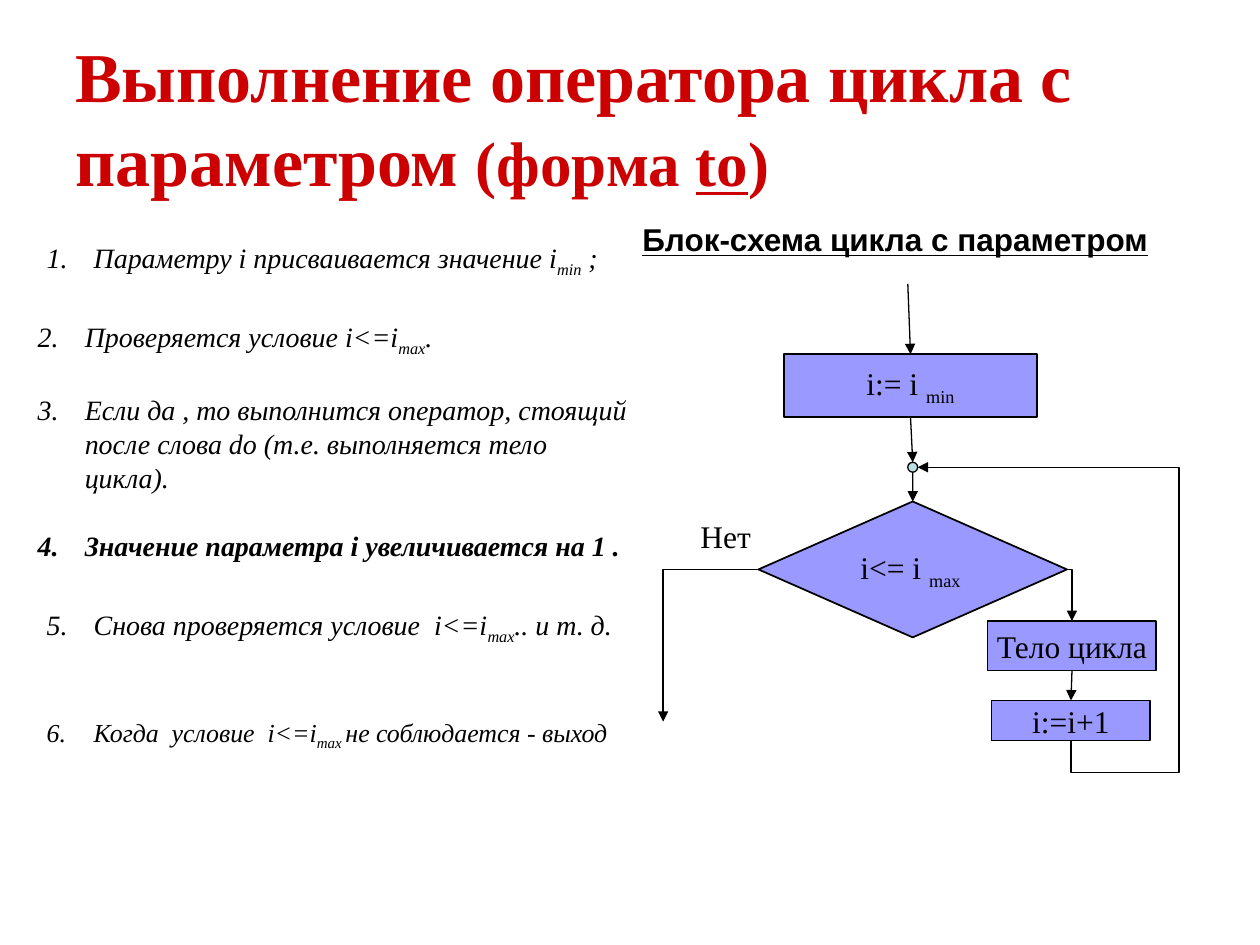
from lxml import etree
from pptx import Presentation
from pptx.dml.color import RGBColor
from pptx.enum.shapes import MSO_CONNECTOR, MSO_SHAPE
from pptx.enum.text import MSO_ANCHOR, PP_ALIGN
from pptx.oxml.ns import qn
from pptx.util import Cm, Pt

RED = RGBColor(0xCC, 0x00, 0x00)
BLACK = RGBColor(0x00, 0x00, 0x00)
VIOLET = RGBColor(0x99, 0x99, 0xFF)
PALE_BLUE = RGBColor(0xBB, 0xE0, 0xE3)
SERIF, SANS = "Times New Roman", "Arial"
STRAIGHT, ELBOW = MSO_CONNECTOR.STRAIGHT, MSO_CONNECTOR.ELBOW
PROCESS = MSO_SHAPE.FLOWCHART_PROCESS
DECISION = MSO_SHAPE.FLOWCHART_DECISION
JUNCTION = MSO_SHAPE.FLOWCHART_CONNECTOR
MIDDLE, CENTER = MSO_ANCHOR.MIDDLE, PP_ALIGN.CENTER
TOP, BOTTOM = 0, 2
SUB = {"baseline": -25000}


def add_text(paragraph, text, size=18, font=SERIF, color=BLACK, bold=False,
             italic=False, underline=False, baseline=0):
    run = paragraph.add_run()
    run.text = text
    run.font.size = Pt(size)
    run.font.name = font
    run.font.color.rgb = color
    run.font.bold, run.font.italic, run.font.underline = bold, italic, underline
    if baseline:
        run.font._element.set("baseline", str(baseline))


def add_runs(paragraph, runs, **style):
    """Write (text, changes) pairs that share a base style."""
    for text, changes in runs:
        add_text(paragraph, text, **{**style, **changes})


class FlowSlide:
    def __init__(self, slide):
        self.slide = slide

    def text_box(self, left, top, width, height, wrap=True, anchor=None):
        box = self.slide.shapes.add_textbox(Cm(left), Cm(top), Cm(width), Cm(height))
        frame = box.text_frame
        frame.word_wrap = wrap
        if anchor is not None:
            frame.vertical_anchor = anchor
        return frame

    def numbered_list(self, left, top, width, height, start, items, size=16,
                      line_spacing=None):
        frame = self.text_box(left, top, width, height)
        for index, runs in enumerate(items):
            paragraph = frame.add_paragraph() if index else frame.paragraphs[0]
            paragraph.space_before = Pt(20)
            if line_spacing:
                paragraph.line_spacing = line_spacing
            properties = paragraph._p.get_or_add_pPr()
            properties.set("marL", str(Cm(0.95)))
            properties.set("indent", str(-Cm(0.95)))
            etree.SubElement(properties, qn("a:buAutoNum"),
                             type="arabicPeriod", startAt=str(start))
            add_runs(paragraph, runs, size=size, italic=True)

    def block(self, kind, left, top, width, height, runs=(), fill=VIOLET, line_width=1):
        shape = self.slide.shapes.add_shape(kind, Cm(left), Cm(top), Cm(width), Cm(height))
        shape.shadow.inherit = False
        shape.fill.solid()
        shape.fill.fore_color.rgb = fill
        shape.line.color.rgb = BLACK
        shape.line.width = Pt(line_width)
        frame = shape.text_frame
        frame.word_wrap = False
        frame.vertical_anchor = MIDDLE
        frame.paragraphs[0].alignment = CENTER
        add_runs(frame.paragraphs[0], runs)
        return shape

    def connector(self, kind, begin, end, line_width, arrow):
        """Draw between two (x, y) points; arrow is headEnd or tailEnd."""
        connector = self.slide.shapes.add_connector(kind, *map(Cm, (*begin, *end)))
        connector.line.color.rgb = BLACK
        connector.line.width = Pt(line_width)
        etree.SubElement(connector.line._get_or_add_ln(), qn(f"a:{arrow}"), type="triangle")
        etree.SubElement(connector._element.spPr, qn("a:effectLst"))
        return connector

    def arrow(self, begin, end, source=None, target=None):
        connector = self.connector(STRAIGHT, begin, end, 0.75, "tailEnd")
        if source is not None:
            connector.begin_connect(source, BOTTOM)
        if target is not None:
            connector.end_connect(target, TOP)

    def bent(self, begin, end, line_width=1, turn=None, arrow="tailEnd"):
        """One corner, or three corners passing the outer (x, y) turn."""
        connector = self.connector(ELBOW, begin, end, line_width, arrow)
        geometry = connector._element.spPr.find(qn("a:prstGeom"))
        geometry.set("prst", "bentConnector4" if turn else "bentConnector2")
        if turn:
            guides = geometry.find(qn("a:avLst"))
            for axis in range(2):
                ratio = (turn[axis] - begin[axis]) / (end[axis] - begin[axis])
                etree.SubElement(guides, qn("a:gd"), name=f"adj{axis + 1}",
                                 fmla=f"val {round(ratio * 100000)}")


def main():
    presentation = Presentation()
    presentation.slide_width, presentation.slide_height = Cm(25.4), Cm(19.05)
    page = FlowSlide(presentation.slides.add_slide(presentation.slide_layouts[6]))

    title = page.text_box(1.27, 0.76, 22.86, 3.18, anchor=MIDDLE)
    add_runs(title.paragraphs[0], [
        ("Выполнение оператора цикла с параметром ", {"size": 40}),
        ("(форма ", {}), ("to", {"underline": True}), (")", {}),
    ], size=36, color=RED, bold=True)

    page.numbered_list(0.69, 4.72, 12.04, 1.19, 1, [
        [("Параметру i присваивается значение i", {}), ("min", SUB), (" ;", {})]])
    page.numbered_list(0.51, 6.32, 12.4, 5.99, 2, [
        [("Проверяется условие i<=i", {}), ("max", SUB), (".", {})],
        [("Если да , то выполнится оператор, стоящий после слова do "
          "(т.е. выполняется тело цикла).", {})],
        [("Значение параметра i увеличивается на 1 .", {"bold": True})]])
    page.numbered_list(0.69, 12.12, 12.4, 1.19, 5, [
        [("Снова проверяется условие  i<=i", {}), ("max", SUB), (".. и т. д.", {})]])
    page.numbered_list(0.69, 14.33, 12.4, 1.19, 6, [
        [("Когда  условие  i<=i", {}), ("max ", SUB), ("не соблюдается - выход", {})]],
        size=14.8, line_spacing=0.9)

    heading = page.text_box(12.7, 4.32, 10.74, 1.02, wrap=False)
    add_text(heading.paragraphs[0], "Блок-схема цикла с параметром",
             font=SANS, bold=True, underline=True)

    start = page.block(PROCESS, 15.8, 7.14, 5.11, 1.27, [("i:= i ", {}), ("min", SUB)])
    condition = page.block(DECISION, 15.29, 10.11, 6.22, 2.74,
                           [("i<= i ", {}), ("max ", SUB)])
    body = page.block(PROCESS, 19.91, 12.52, 3.4, 1, [("Тело цикла", {})])
    increment = page.block(PROCESS, 19.99, 14.12, 3.2, 0.81, [("i:=i+1", {})])
    junction = page.block(JUNCTION, 18.3, 9.32, 0.2, 0.2, fill=PALE_BLUE, line_width=0.75)
    no_label = page.text_box(13.87, 10.29, 3.81, 1.02)
    add_text(no_label.paragraphs[0], "Нет")

    page.arrow((18.3, 5.72), (18.35, 7.14), target=start)
    page.arrow((18.35, 8.41), (18.4, 9.32), start, junction)
    page.arrow((18.4, 9.52), (18.4, 10.11), target=condition)
    page.arrow((21.61, 13.52), (21.59, 14.12), body, increment)
    page.bent((21.51, 11.48), (21.61, 12.52))
    page.bent((15.29, 11.48), (13.37, 14.55))
    page.bent((18.5, 9.42), (21.59, 14.93), line_width=0.75,
              turn=(23.77, 15.57), arrow="headEnd")

    presentation.save("out.pptx")


if __name__ == "__main__":
    main()
